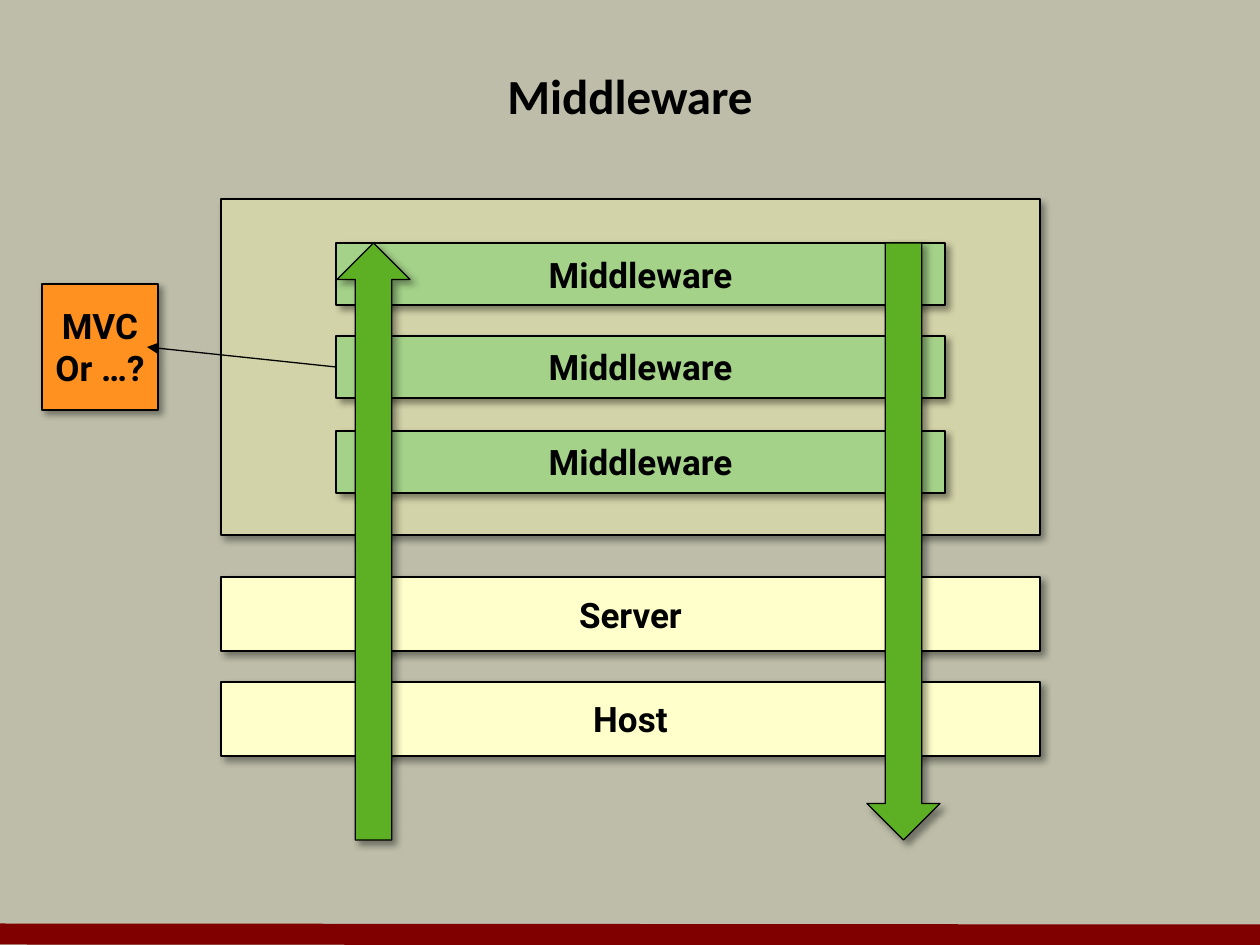
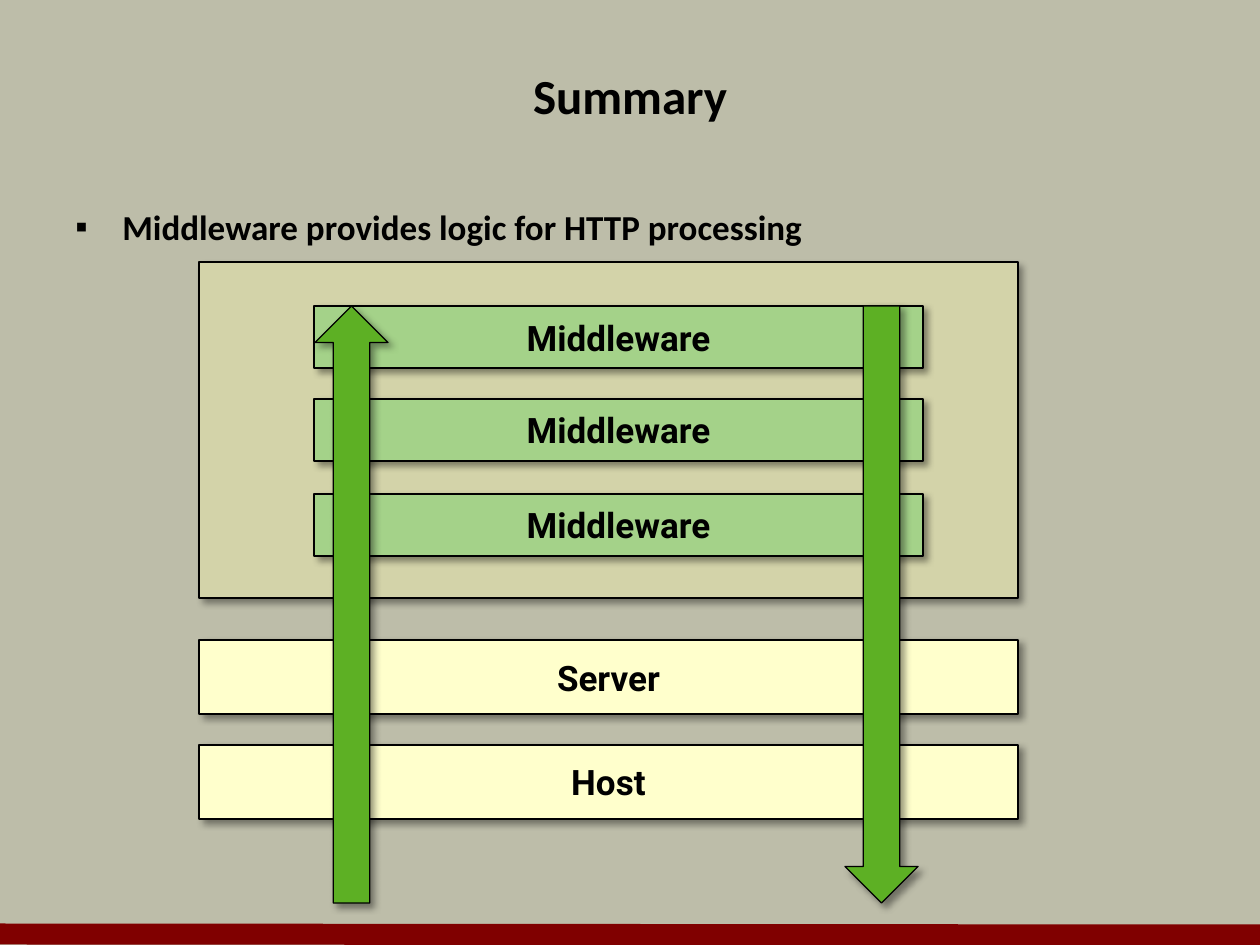
from lxml.etree import SubElement
from pptx import Presentation
from pptx.dml.color import RGBColor
from pptx.enum.shapes import MSO_CONNECTOR as Connector, MSO_SHAPE as Shape
from pptx.enum.text import MSO_ANCHOR as Anchor, PP_ALIGN as Align
from pptx.oxml.ns import qn
from pptx.util import Pt

EMU_PER_PX = 914400 / 126
PAGE_WIDTH, PAGE_HEIGHT = 1260, 945
TITLE_BOX = (63, 42, 1134, 105)
BODY_BOX = (63, 199, 1134, 620)

INK = "000000"
BACKGROUND = "BDBDA9"
BAND = "800000"
LAYER = "FFFFCC"
PANEL = "D3D3A9"
STEP = "A4D289"
FLOW = "5DB024"
TARGET = "FF9121"

HEADING_FONT = "Calibri"
LABEL_FONT = "Roboto"


def px(length):
    return round(length * EMU_PER_PX)


def color(hex_value):
    return RGBColor.from_string(hex_value)


def write(para, text, font, size):
    span = para.add_run()
    span.text = text
    span.font.name = font
    span.font.size = Pt(size)
    span.font.bold = True
    span.font.color.rgb = color(INK)


def add_shadow(shape):
    """Give the shape a soft shadow towards the lower right."""
    shape.shadow.inherit = False
    effects = shape._element.spPr.find(qn("a:effectLst"))
    shadow = SubElement(effects, qn("a:outerShdw"), blurRad=str(Pt(4)),
                        dist=str(Pt(3)), dir=str(45 * 60000),
                        algn="tl", rotWithShape="0")
    tint = SubElement(shadow, qn("a:srgbClr"), val=INK)
    SubElement(tint, qn("a:alpha"), val="40000")


def add_block(page, kind, box, fill, lines=()):
    """Add an outlined, shadowed shape with one centred paragraph per line."""
    block = page.shapes.add_shape(kind, *map(px, box))
    block.fill.solid()
    block.fill.fore_color.rgb = color(fill)
    block.line.color.rgb = color(INK)
    block.line.width = Pt(0.75)
    add_shadow(block)
    frame = block.text_frame
    frame.word_wrap = False
    frame.vertical_anchor = Anchor.MIDDLE
    for index, line in enumerate(lines):
        para = frame.add_paragraph() if index else frame.paragraphs[0]
        para.alignment = Align.CENTER
        write(para, line, LABEL_FONT, 20)
    return block


def add_line(page, start, end, hex_value, width):
    line = page.shapes.add_connector(Connector.STRAIGHT, *map(px, start + end))
    line.line.color.rgb = color(hex_value)
    line.line.width = Pt(width)
    SubElement(line._element.spPr, qn("a:effectLst"))
    return line


def add_text_box(page, box):
    frame = page.shapes.add_textbox(*map(px, box)).text_frame
    frame.word_wrap = True
    return frame


def add_page(deck, title):
    """Add a page with the shared background, bottom band and title."""
    page = deck.slides.add_slide(deck.slide_layouts[6])
    page.background.fill.solid()
    page.background.fill.fore_color.rgb = color(BACKGROUND)
    add_line(page, (0, 934), (PAGE_WIDTH, 935), BAND, 12)
    frame = add_text_box(page, TITLE_BOX)
    frame.vertical_anchor = Anchor.MIDDLE
    para = frame.paragraphs[0]
    para.alignment = Align.CENTER
    write(para, title, HEADING_FONT, 28)
    return page


def add_bullet(page, text):
    para = add_text_box(page, BODY_BOX).paragraphs[0]
    para.space_before = Pt(4)
    props = para._p.get_or_add_pPr()
    props.set("marL", str(px(47)))
    props.set("indent", str(-px(47)))
    SubElement(props, qn("a:buFont"), typeface="Arial")
    SubElement(props, qn("a:buChar"), char="▪")
    write(para, text, HEADING_FONT, 20)


def add_pipeline(page, left, top):
    """Draw host, server and middleware with both flows; return the steps."""
    for label, offset in (("Host", 483), ("Server", 378)):
        add_block(page, Shape.RECTANGLE, (left, top + offset, 819, 74), LAYER, [label])
    add_block(page, Shape.RECTANGLE, (left, top, 819, 336), PANEL)
    steps = [add_block(page, Shape.RECTANGLE, (left + 115, top + offset, 609, 62),
                       STEP, ["Middleware"])
             for offset in (232, 137, 44)]
    for offset, rotation in ((116, 0), (646, 180)):
        flow = add_block(page, Shape.UP_ARROW, (left + offset, top + 44, 73, 597), FLOW)
        flow.rotation = rotation
    return steps


def add_target(page, left, top, step):
    """Add the framework box and an arrow to it from the given step."""
    add_block(page, Shape.RECTANGLE, (left, top, 116, 126), TARGET, ["MVC", "Or …?"])
    tip = (left + 105, top + 63)
    arrow = add_line(page, tip, tip, INK, 0.75)
    arrow.begin_connect(step, 1)
    SubElement(arrow.line._get_or_add_ln(), qn("a:tailEnd"), type="triangle")


def build_middleware(deck):
    page = add_page(deck, "Middleware")
    steps = add_pipeline(page, 221, 199)
    add_target(page, 42, 284, steps[1])


def build_summary(deck):
    page = add_page(deck, "Summary")
    add_bullet(page, "Middleware provides logic for HTTP processing")
    add_pipeline(page, 199, 262)


def main():
    deck = Presentation()
    deck.slide_width, deck.slide_height = px(PAGE_WIDTH), px(PAGE_HEIGHT)
    build_middleware(deck)
    build_summary(deck)
    deck.save("out.pptx")


if __name__ == "__main__":
    main()
